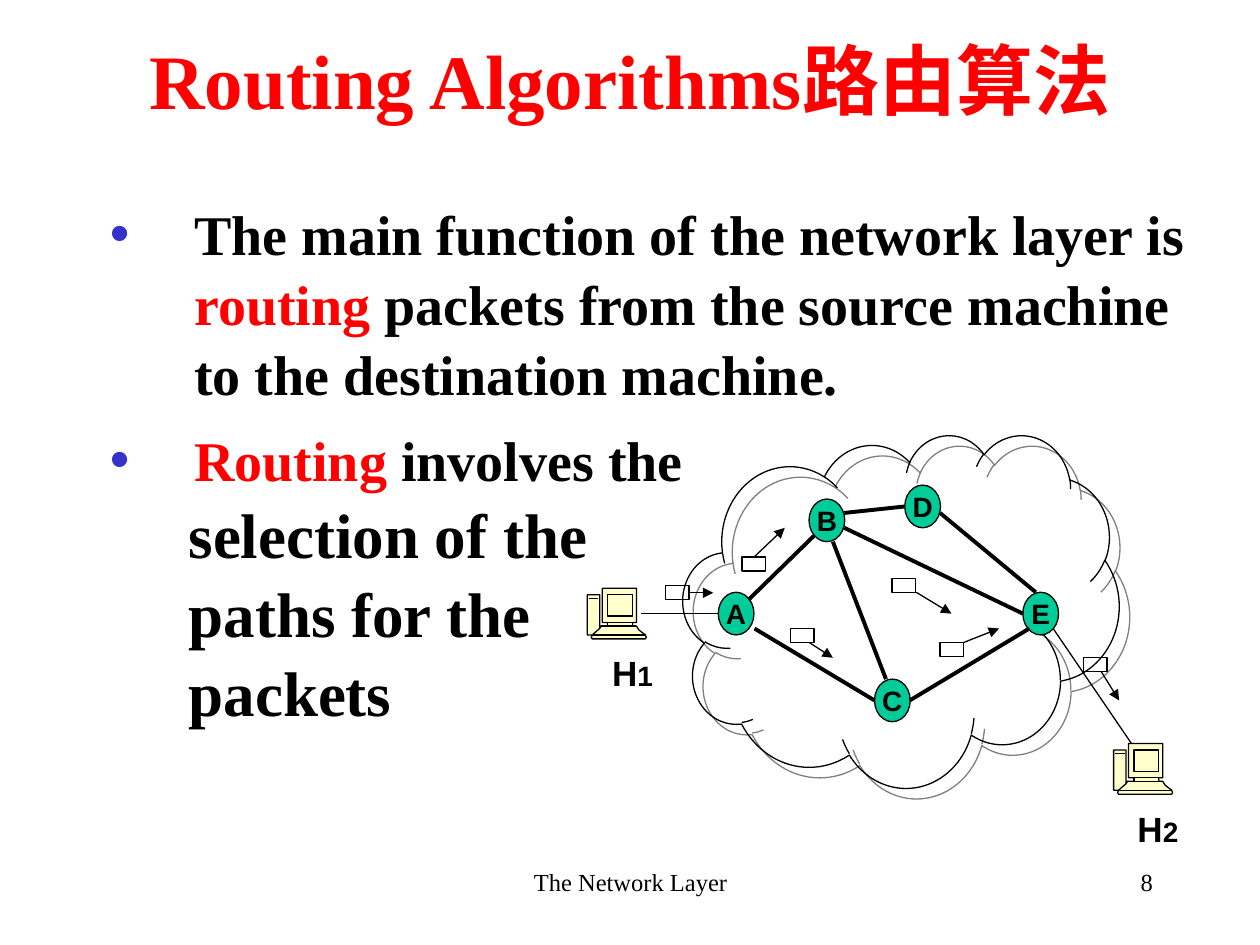
from lxml import etree
from pptx import Presentation
from pptx.dml.color import RGBColor
from pptx.enum.shapes import MSO_CONNECTOR, MSO_SHAPE
from pptx.enum.text import MSO_ANCHOR, MSO_AUTO_SIZE, PP_ALIGN
from pptx.oxml.ns import qn
from pptx.util import Cm, Pt

STRAIGHT = MSO_CONNECTOR.STRAIGHT
ELLIPSE, RECTANGLE, CLOUD = MSO_SHAPE.OVAL, MSO_SHAPE.RECTANGLE, MSO_SHAPE.CLOUD
LEFT, CENTER, RIGHT = PP_ALIGN.LEFT, PP_ALIGN.CENTER, PP_ALIGN.RIGHT
TOP, MIDDLE = MSO_ANCHOR.TOP, MSO_ANCHOR.MIDDLE
NO_FIT = MSO_AUTO_SIZE.NONE

BLACK = RGBColor(0x00, 0x00, 0x00)
RED = RGBColor(0xFF, 0x00, 0x00)
BLUE = RGBColor(0x33, 0x33, 0xCC)
GREEN = RGBColor(0x00, 0xCC, 0x99)
CREAM = RGBColor(0xFF, 0xFF, 0xCC)
GREY = RGBColor(0x80, 0x80, 0x80)
SERIF, SANS = "Times New Roman", "Arial"
THIN, THICK = 0.75, 2.25

# All positions below are in centimetres
ROUTERS = {"A": (14.48, 11.94), "C": (17.63, 13.69), "E": (20.62, 11.94),
           "B": (16.31, 10.06), "D": (18.24, 9.78)}
ROUTER_SIZE = (0.72, 0.86)
ROUTER_LINKS = [
    ((15.09, 12.09), (16.41, 10.8)),   # A to B
    ((15.21, 12.67), (17.63, 14.12)),  # A to C
    ((16.79, 10.92), (17.86, 13.69)),  # B to C
    ((17.02, 10.64), (20.62, 12.37)),  # B to E
    ((18.34, 14.12), (20.75, 12.67)),  # C to E
    ((17.02, 10.34), (18.24, 10.21)),  # B to D
    ((18.95, 10.34), (20.88, 11.94)),  # D to E
]
HOST_LINKS = [((12.93, 12.37), (14.48, 12.37)), ((21.23, 12.67), (22.81, 14.99))]
HOSTS = [("1", (11.84, 11.86), (12.09, 13.0)), ("2", (22.45, 14.99), (22.68, 16.15))]

# Packet corner, arrow start, arrow end, joined side of the packet
PACKET_SIZE = (0.48, 0.28)
PACKETS = [
    ((13.41, 11.81), (13.89, 11.95), (14.38, 11.95), 3),
    ((14.96, 11.23), (15.2, 11.23), (15.82, 10.64), 0),
    ((15.93, 12.67), (16.31, 12.95), (16.79, 13.26), None),
    ((17.98, 11.66), (18.47, 11.94), (19.18, 12.37), None),
    ((18.95, 12.95), (19.43, 12.95), (20.14, 12.67), None),
    ((21.84, 13.26), (22.2, 13.54), (22.56, 14.12), None),
]

# Computer outlines, in hundredths of a centimetre
COMPUTER_BODY = [(25, 81), (28, 76), (41, 76), (41, 69), (30, 69), (30, 0), (99, 0),
                 (99, 69), (91, 69), (91, 76), (99, 76), (104, 84), (117, 94), (119, 99),
                 (117, 102), (10, 102), (8, 99), (10, 94), (0, 94), (0, 13), (25, 13)]
COMPUTER_PARTS = [
    (COMPUTER_BODY, True),
    ([(41, 13), (91, 13), (91, 56), (41, 56)], True),  # screen
    ([(41, 69), (91, 69), (91, 76), (41, 76)], True),  # stand
    ([(3, 20), (22, 20)], False),                      # drive slot
    ([(25, 81), (10, 94)], False),                     # tower foot
    ([(28, 76), (99, 76)], False),                     # keyboard edge
    ([(10, 94), (117, 94)], False),
]

BULLETS = [
    [("The main function of the network layer is ", BLACK), ("routing", RED),
     (" packets from the source machine to the destination machine.", BLACK)],
    [("Routing", RED), (" involves the", BLACK)],
]
CONTINUED = [" selection of the", " paths for the", " packets"]


def place(shape, left, top, width, height):
    shape.left, shape.top = Cm(left), Cm(top)
    shape.width, shape.height = Cm(width), Cm(height)


def add_span(para, text, size, font, color=BLACK, bold=True):
    span = para.add_run()
    span.text = text
    span.font.size, span.font.name, span.font.bold = Pt(size), font, bold
    span.font.color.rgb = color


def style_shape(shape, fill=None):
    shape.shadow.inherit = False
    if fill is None:
        shape.fill.background()
    else:
        shape.fill.solid()
        shape.fill.fore_color.rgb = fill
    shape.line.color.rgb = BLACK
    shape.line.width = Pt(THIN)


def add_preset(page, kind, corner, size, fill=None):
    shape = page.shapes.add_shape(kind, *map(Cm, corner + size))
    style_shape(shape, fill)
    return shape


def add_text(page, corner, size, spans, align=LEFT, wrap=True):
    box = page.shapes.add_textbox(*map(Cm, corner + size))
    box.text_frame.word_wrap = wrap
    para = box.text_frame.paragraphs[0]
    para.alignment = align
    for text, points, font, bold in spans:
        add_span(para, text, points, font, bold=bold)


def add_link(page, start, end, width, arrow=False):
    link = page.shapes.add_connector(STRAIGHT, *map(Cm, start + end))
    link.line.color.rgb = BLACK
    link.line.width = Pt(width)
    if arrow:
        etree.SubElement(link.line._get_or_add_ln(), qn("a:tailEnd"), type="triangle")
    etree.SubElement(link._element.spPr, qn("a:effectLst"))
    return link


def add_cloud(page):
    cloud = add_preset(page, CLOUD, (13.77, 8.76), (8.79, 7.11))
    effects = cloud._element.spPr.find(qn("a:effectLst"))
    shadow = etree.SubElement(effects, qn("a:outerShdw"), dist=str(Pt(8.5)),
                              dir=str(45 * 60000), algn="ctr", rotWithShape="0")
    etree.SubElement(shadow, qn("a:srgbClr"), val=str(GREY))


def add_computer(page, corner):
    group = page.shapes.add_group_shape()
    for points, closed in COMPUTER_PARTS:
        builder = group.shapes.build_freeform(*points[0], scale=Cm(0.01))
        builder.add_line_segments(points[1:], close=closed)
        outline = builder.convert_to_shape(*map(Cm, corner))
        style_shape(outline, CREAM if closed else None)


def add_router(page, name, corner):
    router = add_preset(page, ELLIPSE, corner, ROUTER_SIZE, GREEN)
    router.text_frame.word_wrap = False
    router.text_frame.vertical_anchor = MIDDLE
    para = router.text_frame.paragraphs[0]
    para.alignment = CENTER
    add_span(para, name, 16, SANS)


def add_packet(page, corner, start, end, side):
    packet = add_preset(page, RECTANGLE, corner, PACKET_SIZE)
    arrow = add_link(page, start, end, THIN, arrow=True)
    if side is not None:
        arrow.begin_connect(packet, side)


def set_bullet(para, margin, indent, bullet=None):
    properties = para._p.get_or_add_pPr()
    properties.set("marL", str(Cm(margin)))
    properties.set("indent", str(Cm(indent)))
    if bullet:
        color = etree.SubElement(properties, qn("a:buClr"))
        etree.SubElement(color, qn("a:srgbClr"), val=str(BLUE))
        etree.SubElement(properties, qn("a:buChar"), char=bullet)
    else:
        etree.SubElement(properties, qn("a:buNone"))


def fill_title(title):
    place(title, 0, 0, 25.4, 3.18)
    title.text_frame.vertical_anchor = MIDDLE
    para = title.text_frame.paragraphs[0]
    para.alignment = CENTER
    add_span(para, "Routing Algorithms路由算法", 44, SERIF, RED)


def fill_body(body):
    place(body, 1.96, 3.84, 22.63, 14.55)
    frame = body.text_frame
    frame.auto_size, frame.vertical_anchor = NO_FIT, TOP
    rows = BULLETS + [[(text, BLACK)] for text in CONTINUED]
    for index, row in enumerate(rows):
        para = frame.add_paragraph() if index else frame.paragraphs[0]
        main = index < len(BULLETS)
        para.level = 0 if main else 1
        para.line_spacing = 1.04
        para.space_before, para.space_after = Pt(9.5 if main else 0), Pt(0)
        if main:
            set_bullet(para, 1.7, -1.7, "•")
        else:
            set_bullet(para, 2.74, -1.47)
        for text, color in row:
            add_span(para, text, 32 if main else 36, SERIF, color)


def main():
    deck = Presentation()
    deck.slide_width, deck.slide_height = Cm(25.4), Cm(19.05)
    page = deck.slides.add_slide(deck.slide_layouts[1])

    # Title, bullets and footer
    fill_title(page.shapes.title)
    fill_body(page.placeholders[1])
    add_text(page, (8.69, 17.35), (8.05, 1.27), [("The Network Layer", 14, SERIF, False)], CENTER)
    add_text(page, (18.21, 17.35), (5.28, 1.27), [("8", 14, SERIF, False)], RIGHT)

    # Network diagram
    add_cloud(page)
    for number, computer, label in HOSTS:
        add_computer(page, computer)
        add_text(page, label, (1.35, 1.09),
                 [("H", 20, SANS, True), (number, 16, SANS, True)], wrap=False)
    for name, corner in ROUTERS.items():
        add_router(page, name, corner)
    for links, width in ((ROUTER_LINKS, THICK), (HOST_LINKS, THIN)):
        for start, end in links:
            add_link(page, start, end, width)
    for packet in PACKETS:
        add_packet(page, *packet)

    deck.save("out.pptx")


if __name__ == "__main__":
    main()
